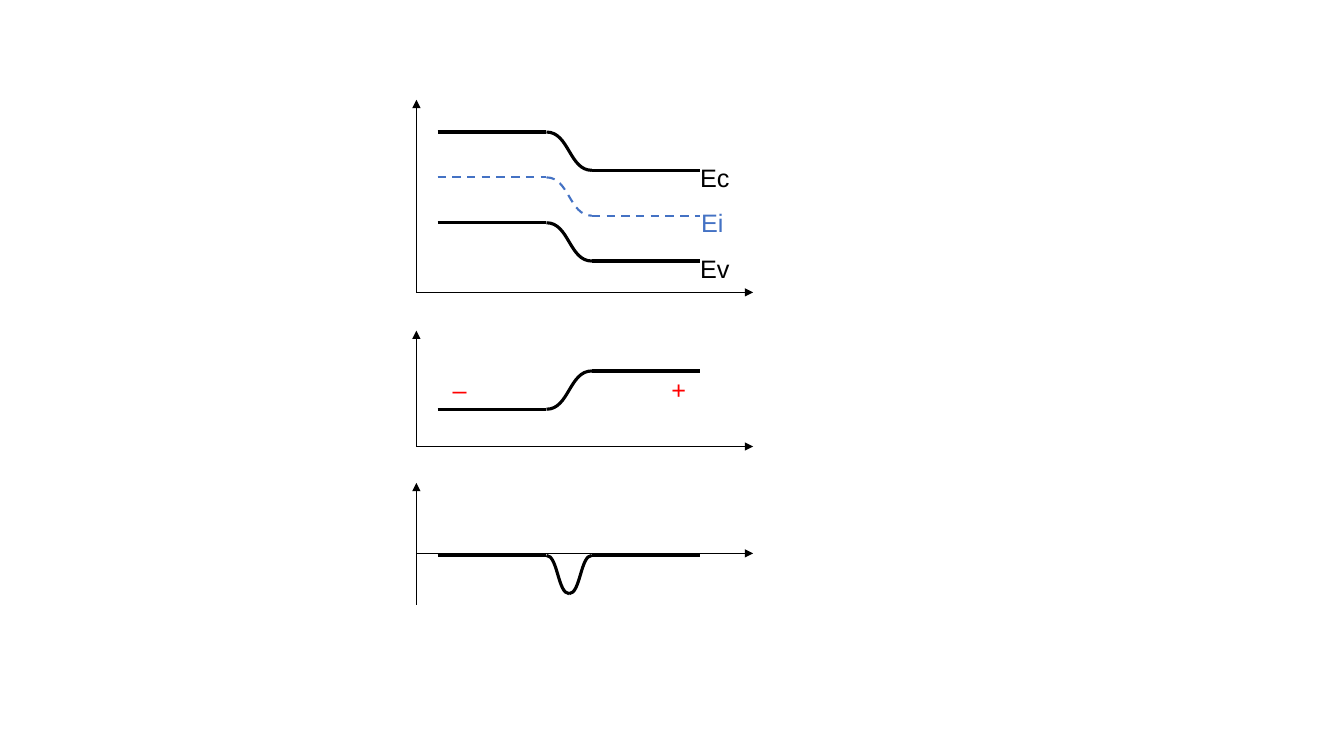
"""Draw band, potential and field profiles of a junction on one slide."""
import lxml.etree
import pptx
import pptx.dml.color
import pptx.enum.dml
import pptx.enum.shapes
import pptx.enum.text
import pptx.oxml.ns
import pptx.util

Inches = pptx.util.Inches
qn = pptx.oxml.ns.qn
BLACK = pptx.dml.color.RGBColor(0x00, 0x00, 0x00)
BLUE = pptx.dml.color.RGBColor(0x44, 0x72, 0xC4)
RED = pptx.dml.color.RGBColor(0xFF, 0x00, 0x00)

AXIS_X, AXIS_END = 4.13, 7.47
LEFT, BEND_START, BEND_END, RIGHT = 4.34, 5.42, 5.87, 6.94
BEND_MIDDLE = (BEND_START + BEND_END) / 2
STEP = 0.38


class Diagram:
    font_name = "Arial"
    font_size = 18
    axis_width = 0.5

    def __init__(self, slide):
        self.slide = slide

    def format_line(self, shape, color, width, dashed):
        shape.line.color.rgb = color
        shape.line.width = pptx.util.Pt(width)
        if dashed:
            shape.line.dash_style = pptx.enum.dml.MSO_LINE.DASH

    def line(self, start, end, color=BLACK, width=2.25, dashed=False, arrow=False):
        connector = self.slide.shapes.add_connector(
            pptx.enum.shapes.MSO_CONNECTOR.STRAIGHT,
            *(Inches(value) for value in (*start, *end)))
        self.format_line(connector, color, width, dashed)
        properties = connector.element.spPr
        if arrow:
            outline = properties.find(qn("a:ln"))
            lxml.etree.SubElement(outline, qn("a:tailEnd"), type="triangle")
        lxml.etree.SubElement(properties, qn("a:effectLst"))

    def curve(self, start, end, color=BLACK, width=2.25, dashed=False):
        middle = (start[0] + end[0]) / 2
        points = [(Inches(x), Inches(y)) for x, y in
                  (start, (middle, start[1]), (middle, end[1]), end)]
        builder = self.slide.shapes.build_freeform(*points[0])
        builder.add_line_segments(points[1:], close=False)
        shape = builder.convert_to_shape()
        segments = list(shape.element.iter(qn("a:lnTo")))
        bezier = lxml.etree.SubElement(segments[0].getparent(), qn("a:cubicBezTo"))
        for segment in segments:
            bezier.append(segment[0])
            segment.getparent().remove(segment)
        shape.fill.background()
        shape.shadow.inherit = False
        self.format_line(shape, color, width, dashed)

    def step(self, left_y, right_y, **style):
        self.line((LEFT, left_y), (BEND_START, left_y), **style)
        self.curve((BEND_START, left_y), (BEND_END, right_y), **style)
        self.line((BEND_END, right_y), (RIGHT, right_y), **style)

    def dip(self, base_y, depth):
        bottom = (BEND_MIDDLE, base_y + depth)
        self.line((LEFT, base_y), (BEND_START, base_y))
        self.curve((BEND_START, base_y), bottom)
        self.curve(bottom, (BEND_END, base_y))
        self.line((BEND_END, base_y), (RIGHT, base_y))

    def axes(self, top, bottom, horizontal_y):
        for start, end in (((AXIS_X, bottom), (AXIS_X, top)),
                           ((AXIS_X, horizontal_y), (AXIS_END, horizontal_y))):
            self.line(start, end, width=self.axis_width, arrow=True)

    def label(self, text, left, top, width, color=BLACK, centered=False):
        box = self.slide.shapes.add_textbox(
            Inches(left), Inches(top), Inches(width), Inches(0.4))
        frame = box.text_frame
        frame.word_wrap = False
        frame.auto_size = pptx.enum.text.MSO_AUTO_SIZE.SHAPE_TO_FIT_TEXT
        paragraph = frame.paragraphs[0]
        if centered:
            paragraph.alignment = pptx.enum.text.PP_ALIGN.CENTER
        run = paragraph.add_run()
        run.text = text
        run.font.name = self.font_name
        run.font.size = pptx.util.Pt(self.font_size)
        run.font.color.rgb = color


def main():
    presentation = pptx.Presentation()
    presentation.slide_width = Inches(13.33)
    presentation.slide_height = Inches(7.5)
    diagram = Diagram(presentation.slides.add_slide(presentation.slide_layouts[6]))

    diagram.axes(top=0.99, bottom=2.9, horizontal_y=2.9)
    solid = {"color": BLACK}
    dashed = {"color": BLUE, "width": 1.5, "dashed": True}
    bands = (("Ec", 6.84, 0.5, solid), ("Ei", 6.85, 0.43, dashed), ("Ev", 6.84, 0.5, solid))
    for index, (name, left, width, style) in enumerate(bands):
        band_y = 1.31 + 0.45 * index
        diagram.step(band_y, band_y + STEP, **style)
        diagram.label(name, left, band_y + 0.25, width, color=style["color"], centered=True)

    diagram.axes(top=3.28, bottom=4.43, horizontal_y=4.43)
    diagram.step(3.68 + STEP, 3.68)
    diagram.label("+", 6.56, 3.66, 0.35, color=RED)
    diagram.label("–", 4.39, 3.66, 0.34, color=RED)

    diagram.axes(top=4.79, bottom=6, horizontal_y=5.49)
    diagram.dip(5.51, STEP)

    presentation.save("out.pptx")


if __name__ == "__main__":
    main()
